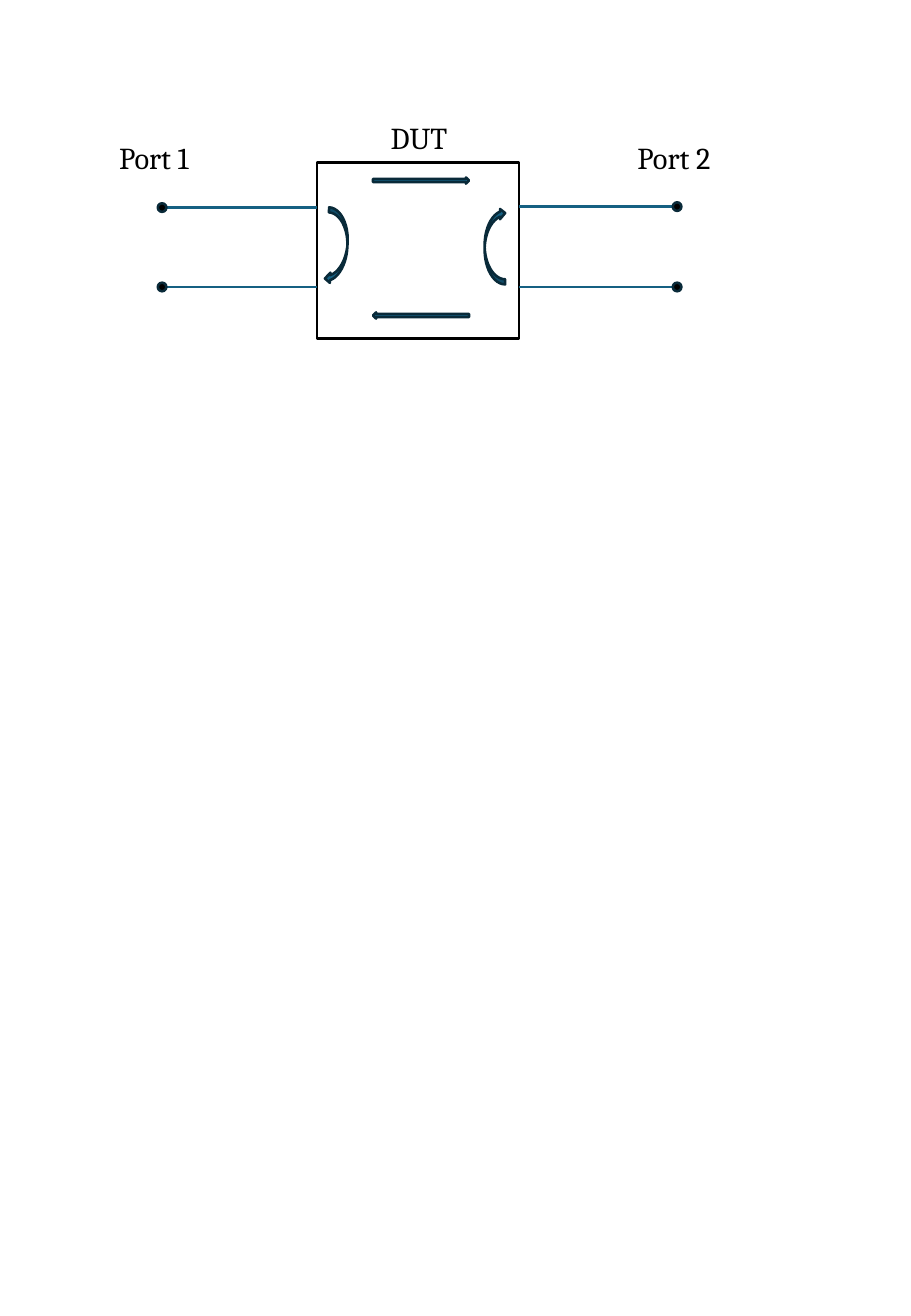
from lxml.etree import SubElement
from pptx import Presentation
from pptx.dml.color import RGBColor
from pptx.enum.shapes import MSO_CONNECTOR, MSO_SHAPE
from pptx.enum.text import MSO_AUTO_SIZE
from pptx.oxml.ns import qn
from pptx.util import Cm, Pt

BLACK, WHITE, TEAL, NAVY = "000000", "FFFFFF", "156082", "092A39"
FONT, TEXT_SIZE, LINE_WIDTH = "Cambria", Pt(18), Pt(1.5)

# Lengths in cm
DUT_LEFT, DUT_TOP, DUT_WIDTH, DUT_HEIGHT = 6.63, 3.4, 4.22, 3.68
DUT_RIGHT = DUT_LEFT + DUT_WIDTH
DOT = 0.18

LABELS = [  # text, left, top, width
    ("Port 1", 2.24, 2.79, 2.18),
    ("Port 2", 13.08, 2.79, 2.18),
    ("DUT", 7.92, 2.36, 1.73),
]
TERMINALS = [  # terminal centre x, y, edge of the DUT it leads to
    (3.39, 4.34, DUT_LEFT),
    (3.39, 6, DUT_LEFT),
    (14.16, 4.32, DUT_RIGHT),
    (14.16, 6, DUT_RIGHT),
]
SIGNALS = [  # shape, left, top, width, height, rotation
    (MSO_SHAPE.CURVED_DOWN_ARROW, 6.25, 4.93, 1.6, 0.43, 93.4),
    (MSO_SHAPE.CURVED_DOWN_ARROW, 9.55, 4.93, 1.6, 0.43, 270),
    (MSO_SHAPE.RIGHT_ARROW, 7.8, 3.71, 2.01, 0.13, 0),
    (MSO_SHAPE.RIGHT_ARROW, 7.8, 6.53, 2.01, 0.13, 180),
]


def color(hex_string):
    return RGBColor.from_string(hex_string)


def add_figure(slide, kind, left, top, width, height, fill, line, rotation=0):
    figure = slide.shapes.add_shape(kind, Cm(left), Cm(top), Cm(width), Cm(height))
    figure.shadow.inherit = False
    figure.rotation = rotation
    figure.fill.solid()
    figure.fill.fore_color.rgb = color(fill)
    figure.line.color.rgb = color(line)
    figure.line.width = LINE_WIDTH


def add_terminal(slide, x, y, edge):
    """Draw a lead from the DUT edge and the dot at its end."""
    lead = slide.shapes.add_connector(
        MSO_CONNECTOR.STRAIGHT, Cm(x), Cm(y), Cm(edge), Cm(y))
    lead.line.color.rgb = color(TEAL)
    lead.line.width = LINE_WIDTH
    SubElement(lead._element.spPr, qn("a:effectLst"))
    add_figure(slide, MSO_SHAPE.OVAL, x - DOT / 2, y - DOT / 2, DOT, DOT, BLACK, NAVY)


def add_label(slide, text, left, top, width):
    label = slide.shapes.add_textbox(Cm(left), Cm(top), Cm(width), Cm(1.02))
    frame = label.text_frame
    frame.text = text
    frame.word_wrap = False
    frame.auto_size = MSO_AUTO_SIZE.SHAPE_TO_FIT_TEXT
    font = frame.paragraphs[0].runs[0].font
    font.name, font.size = FONT, TEXT_SIZE
    font.color.rgb = color(BLACK)


def main():
    deck = Presentation()
    deck.slide_width, deck.slide_height = Cm(19.05), Cm(27.51)
    slide = deck.slides.add_slide(deck.slide_layouts[6])

    add_figure(slide, MSO_SHAPE.RECTANGLE, DUT_LEFT, DUT_TOP, DUT_WIDTH, DUT_HEIGHT,
               WHITE, BLACK)
    for label in LABELS:
        add_label(slide, *label)
    for kind, left, top, width, height, rotation in SIGNALS:
        add_figure(slide, kind, left, top, width, height, TEAL, NAVY, rotation)
    for terminal in TERMINALS:
        add_terminal(slide, *terminal)

    deck.save("out.pptx")


if __name__ == "__main__":
    main()
